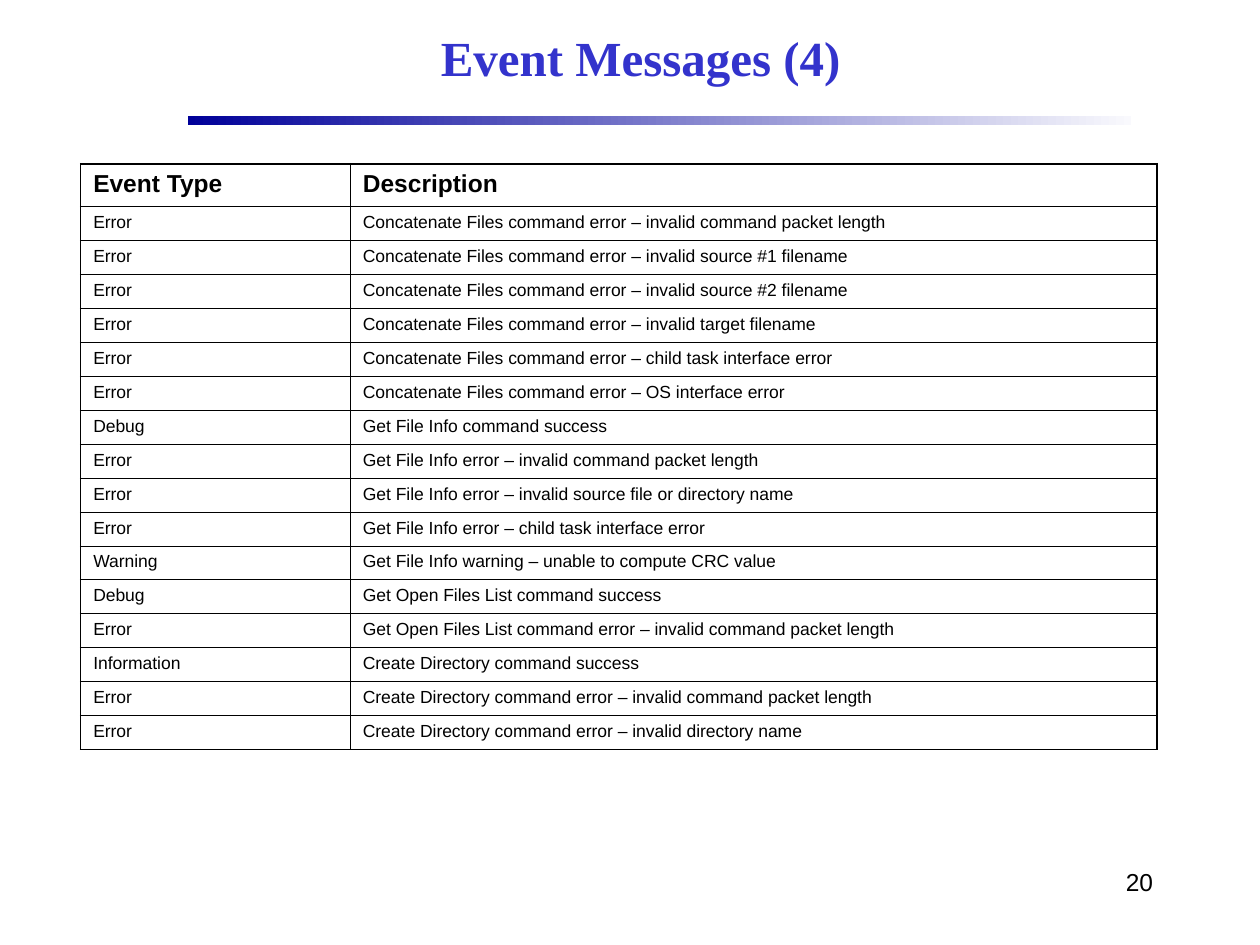
from pptx import Presentation
from pptx.dml.color import RGBColor
from pptx.enum.shapes import MSO_SHAPE
from pptx.enum.text import MSO_ANCHOR, PP_ALIGN
from pptx.oxml.ns import qn
from pptx.util import Inches, Pt
from lxml import etree

LEFT, CENTER, RIGHT = PP_ALIGN.LEFT, PP_ALIGN.CENTER, PP_ALIGN.RIGHT
TOP, MIDDLE = MSO_ANCHOR.TOP, MSO_ANCHOR.MIDDLE
RECTANGLE = MSO_SHAPE.RECTANGLE

TITLE = "Event Messages (4)"
PAGE_NUMBER = "20"
HEADER = ("Event Type", "Description")
EVENTS = [
    ("Error", "Concatenate Files command error – invalid command packet length"),
    ("Error", "Concatenate Files command error – invalid source #1 filename"),
    ("Error", "Concatenate Files command error – invalid source #2 filename"),
    ("Error", "Concatenate Files command error – invalid target filename"),
    ("Error", "Concatenate Files command error – child task interface error"),
    ("Error", "Concatenate Files command error – OS interface error"),
    ("Debug", "Get File Info command success"),
    ("Error", "Get File Info error – invalid command packet length"),
    ("Error", "Get File Info error – invalid source file or directory name"),
    ("Error", "Get File Info error – child task interface error"),
    ("Warning", "Get File Info warning – unable to compute CRC value"),
    ("Debug", "Get Open Files List command success"),
    ("Error", "Get Open Files List command error – invalid command packet length"),
    ("Information", "Create Directory command success"),
    ("Error", "Create Directory command error – invalid command packet length"),
    ("Error", "Create Directory command error – invalid directory name"),
]

THEME = {
    "title": {"font": "Times New Roman", "size": 28, "color": "3333CC", "bold": True},
    "page": {"font": "Arial", "size": 14, "color": "000000"},
    "header": {"font": "Arial", "size": 14, "color": "000000", "bold": True, "space": 6.1},
    "body": {"font": "Arial", "size": 10, "color": "000000", "space": 4.4},
    "rule": ("000099", "F9F9FD"),
    "border": "000000",
    "outer": 1.08,
    "inner": 0.45,
}

COLUMN_WIDTHS = (2.14, 6.4)
TABLE_LEFT, TABLE_TOP, TABLE_HEIGHT = 0.64, 1.3, 4.65
HEADER_HEIGHT = 0.34


def write_text(frame, text, *, font, size, color, bold=False, align=LEFT, space=0):
    paragraph = frame.paragraphs[0]
    paragraph.alignment = align
    paragraph.space_before = Pt(space)
    run = paragraph.add_run()
    run.text = text
    run.font.name = font
    run.font.size = Pt(size)
    run.font.bold = bold
    run.font.color.rgb = RGBColor.from_string(color)


def add_text_box(slide, box, text, anchor=TOP, **text_format):
    frame = slide.shapes.add_textbox(*map(Inches, box)).text_frame
    frame.word_wrap = True
    frame.vertical_anchor = anchor
    write_text(frame, text, **text_format)


def add_gradient_rule(slide, box):
    rule = slide.shapes.add_shape(RECTANGLE, *map(Inches, box))
    rule.shadow.inherit = False
    rule.line.fill.background()
    rule.fill.gradient()
    rule.fill.gradient_angle = 0
    for stop, color in zip(rule.fill.gradient_stops, THEME["rule"]):
        stop.color.rgb = RGBColor.from_string(color)


def set_borders(cell, widths):
    """Draw cell borders; widths are points for left, right, top, bottom."""
    properties = cell._tc.get_or_add_tcPr()
    for index, (side, width) in enumerate(zip("LRTB", widths)):
        line = etree.Element(qn(f"a:ln{side}"), w=str(Pt(width)))
        fill = etree.SubElement(line, qn("a:solidFill"))
        etree.SubElement(fill, qn("a:srgbClr"), val=THEME["border"])
        properties.insert(index, line)


def add_event_table(slide):
    rows = [HEADER, *EVENTS]
    last_row, last_column = len(rows) - 1, len(HEADER) - 1
    body_height = (TABLE_HEIGHT - HEADER_HEIGHT) / len(EVENTS)
    table = slide.shapes.add_table(
        len(rows), len(HEADER), Inches(TABLE_LEFT), Inches(TABLE_TOP),
        Inches(sum(COLUMN_WIDTHS)), Inches(TABLE_HEIGHT)).table
    table.first_row = table.horz_banding = False
    for column, width in zip(table.columns, COLUMN_WIDTHS):
        column.width = Inches(width)
    for r, values in enumerate(rows):
        table.rows[r].height = Inches(body_height if r else HEADER_HEIGHT)
        for c, value in enumerate(values):
            cell = table.cell(r, c)
            cell.fill.background()
            edges = (c == 0, c == last_column, r == 0, r == last_row)
            set_borders(cell, [THEME["outer" if edge else "inner"] for edge in edges])
            write_text(cell.text_frame, value, **THEME["body" if r else "header"])


def main():
    presentation = Presentation()
    presentation.slide_width, presentation.slide_height = Inches(10), Inches(7.5)
    slide = presentation.slides.add_slide(presentation.slide_layouts[6])
    add_gradient_rule(slide, (1.49, 0.92, 7.49, 0.07))
    add_text_box(slide, (7.17, 6.83, 2.08, 0.5), PAGE_NUMBER, align=RIGHT, **THEME["page"])
    add_text_box(slide, (1.5, 0.08, 7.17, 0.75), TITLE, MIDDLE, align=CENTER, **THEME["title"])
    add_event_table(slide)
    presentation.save("out.pptx")


if __name__ == "__main__":
    main()
